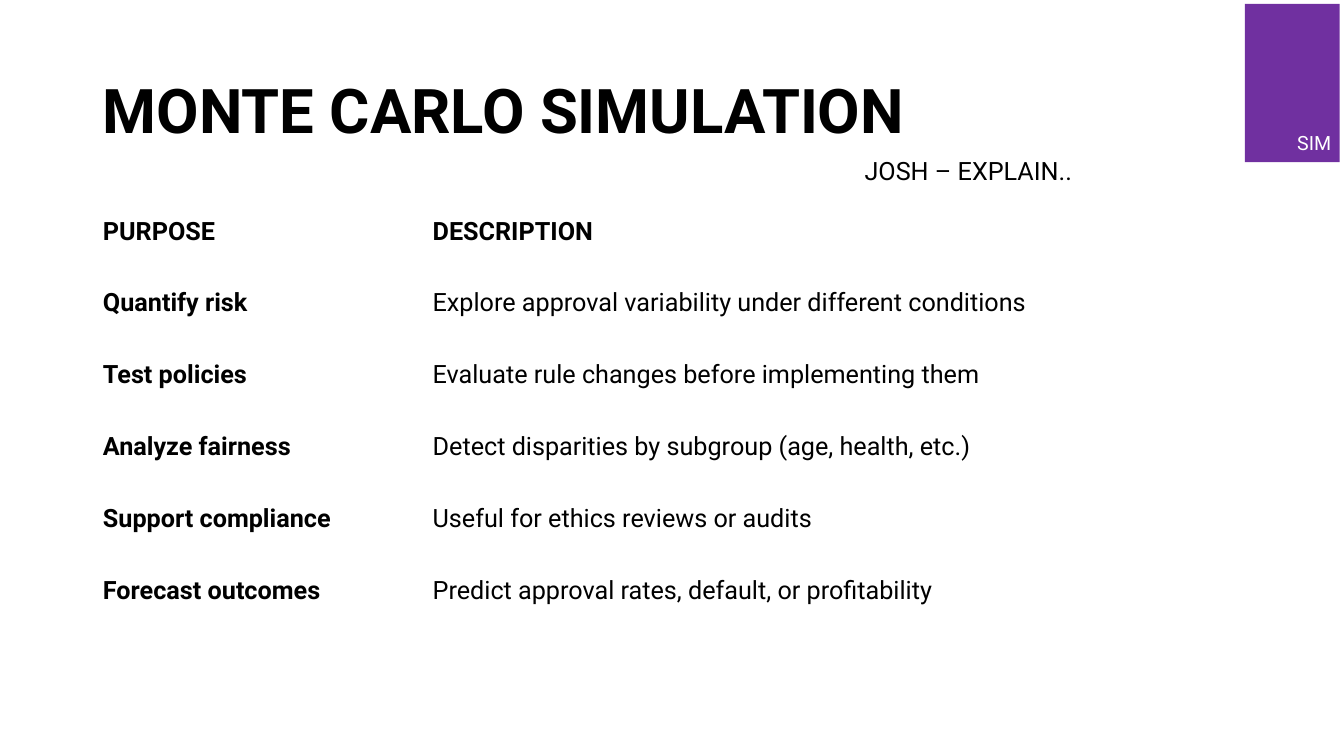
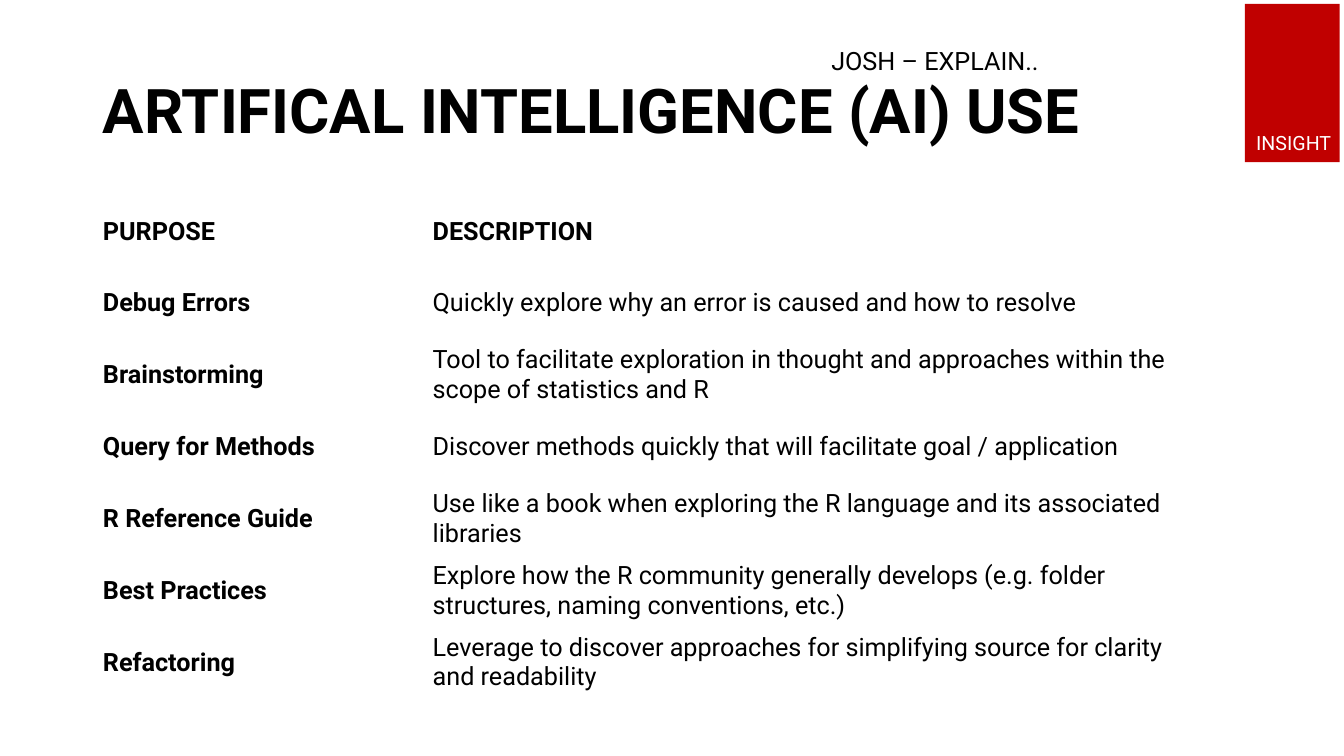
from pptx import Presentation
from pptx.dml.color import RGBColor
from pptx.enum.shapes import MSO_SHAPE
from pptx.enum.text import MSO_ANCHOR, PP_ALIGN
from pptx.util import Cm, Pt

RECTANGLE = MSO_SHAPE.RECTANGLE
TOP, MIDDLE = MSO_ANCHOR.TOP, MSO_ANCHOR.MIDDLE
LEFT, RIGHT = PP_ALIGN.LEFT, PP_ALIGN.RIGHT

# Content
HEADINGS = ("PURPOSE", "DESCRIPTION")
NOTE = "JOSH – EXPLAIN.."
SLIDES = [
    {
        "title": "MONTE CARLO SIMULATION",
        "tag": "SIM",
        "tag_color": "7030A0",
        "note_at": (21.54, 3.78),
        "rows": [
            ("Quantify risk", "Explore approval variability under different conditions"),
            ("Test policies", "Evaluate rule changes before implementing them"),
            ("Analyze fairness", "Detect disparities by subgroup (age, health, etc.)"),
            ("Support compliance", "Useful for ethics reviews or audits"),
            ("Forecast outcomes", "Predict approval rates, default, or profitability"),
        ],
    },
    {
        "title": "ARTIFICAL INTELLIGENCE (AI) USE",
        "tag": "INSIGHT",
        "tag_color": "C00000",
        "note_at": (20.7, 1.02),
        "rows": [
            ("Debug Errors", "Quickly explore why an error is caused and how to resolve"),
            ("Brainstorming", "Tool to facilitate exploration in thought and approaches "
                              "within the scope of statistics and R"),
            ("Query for Methods", "Discover methods quickly that will facilitate goal / application"),
            ("R Reference Guide", "Use like a book when exploring the R language "
                                  "and its associated libraries"),
            ("Best Practices", "Explore how the R community generally develops "
                               "(e.g. folder structures, naming conventions, etc.)"),
            ("Refactoring", "Leverage to discover approaches for simplifying source "
                            "for clarity and readability"),
        ],
    },
]

# Shared style, lengths in centimetres
FONT = "Roboto"
BLACK, WHITE = "000000", "FFFFFF"
MARGIN = 2.34
TABLE_TOP = 4.93
COLUMN_WIDTHS = (8.31, 19.23)
ROW_HEIGHT = 1.81
TITLE_AREA = (MARGIN, 1.02, 29.21, 3.68)
TAG_AREA = (31.37, 0.1, 2.39, 3.99)
TAG_TEXT_AREA = (31.01, 3.18, 2.79, 0.86)
NOTE_SIZE = (9.86, 1.02)


def color(value):
    return RGBColor.from_string(value)


def write(frame, text, size=18, bold=False, fill=BLACK, align=LEFT, spacing=None):
    para = frame.paragraphs[0]
    para.alignment = align
    para.line_spacing = spacing
    span = para.add_run()
    span.text = text
    span.font.name = FONT
    span.font.size = Pt(size)
    span.font.bold = bold
    span.font.color.rgb = color(fill)


def add_text(page, area, text, anchor=TOP, **style):
    box = page.shapes.add_textbox(*map(Cm, area))
    box.text_frame.word_wrap = True
    box.text_frame.vertical_anchor = anchor
    write(box.text_frame, text, **style)


def add_purpose_table(page, rows):
    lines = [HEADINGS, *rows]
    area = (MARGIN, TABLE_TOP, sum(COLUMN_WIDTHS), ROW_HEIGHT * len(lines))
    table = page.shapes.add_table(len(lines), len(HEADINGS), *map(Cm, area)).table
    table.horz_banding = False
    table.first_row = False
    for column, width in zip(table.columns, COLUMN_WIDTHS):
        column.width = Cm(width)
    for r, line in enumerate(lines):
        table.rows[r].height = Cm(ROW_HEIGHT)
        for c, text in enumerate(line):
            cell = table.cell(r, c)
            cell.fill.background()
            cell.vertical_anchor = MIDDLE
            write(cell.text_frame, text, bold=r == 0 or c == 0)


def add_tag(page, text, fill):
    block = page.shapes.add_shape(RECTANGLE, *map(Cm, TAG_AREA))
    block.shadow.inherit = False
    block.fill.solid()
    block.fill.fore_color.rgb = color(fill)
    block.line.fill.background()
    add_text(page, TAG_TEXT_AREA, text, size=14, fill=WHITE, align=RIGHT)


def main():
    deck = Presentation()
    deck.slide_width, deck.slide_height = Cm(33.87), Cm(19.05)
    blank = deck.slide_layouts[6]
    for content in SLIDES:
        page = deck.slides.add_slide(blank)
        add_text(page, TITLE_AREA, content["title"], anchor=MIDDLE,
                 size=44, bold=True, spacing=0.9)
        add_purpose_table(page, content["rows"])
        add_tag(page, content["tag"], content["tag_color"])
        add_text(page, content["note_at"] + NOTE_SIZE, NOTE)
    deck.save("out.pptx")


if __name__ == "__main__":
    main()
